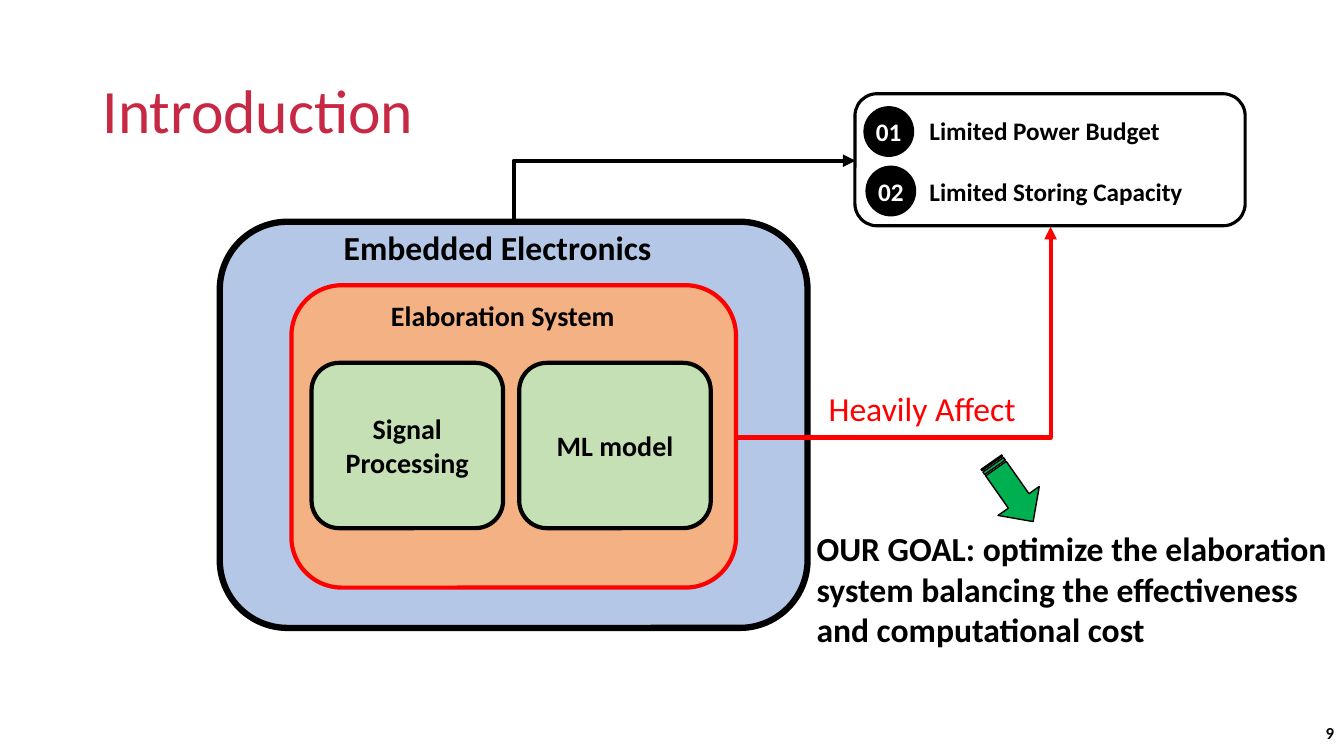
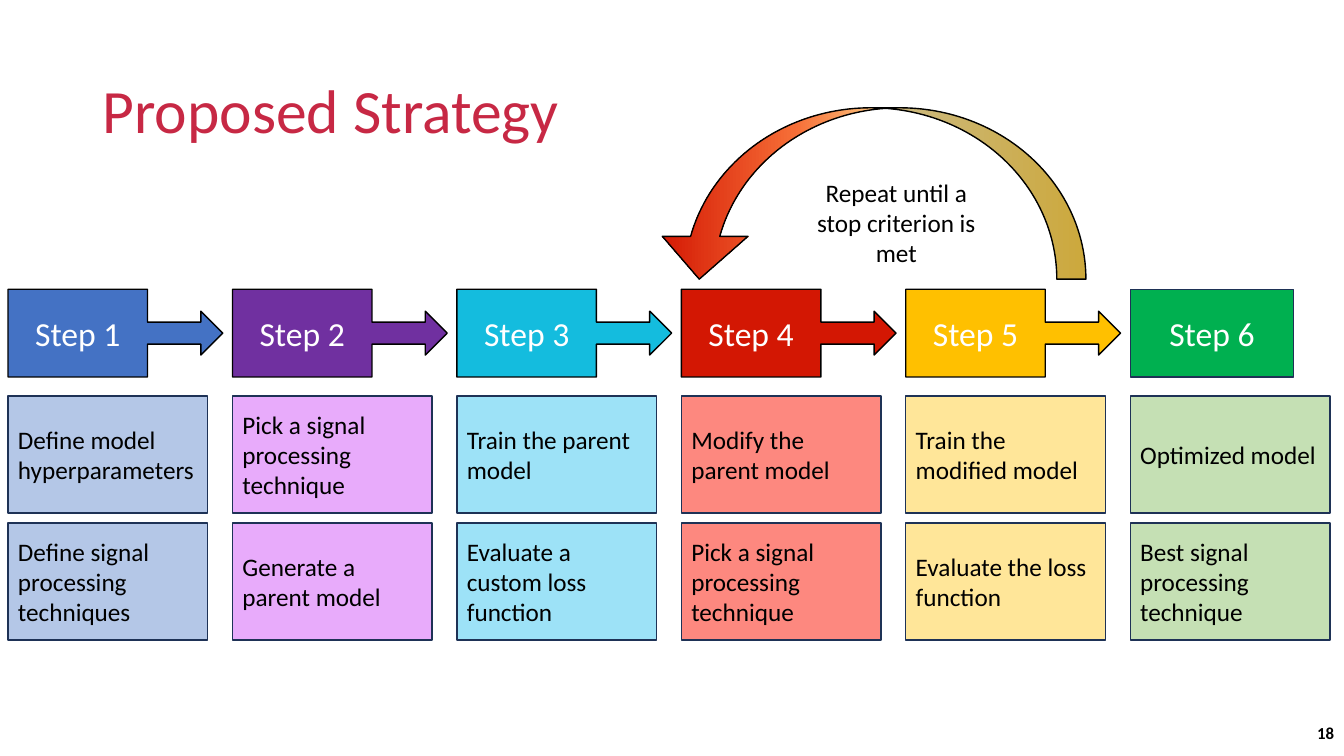
"""Build two slides: the design problem of an embedded system and a six-step strategy."""
from lxml import etree
from pptx import Presentation, util as u
from pptx.dml.color import RGBColor
from pptx.enum import shapes, text
from pptx.oxml import ns

FONT = "Calibri"
COLORS = {
    "title": "C72844", "black": "000000", "white": "FFFFFF", "red": "FF0000",
    "navy": "1E3256", "pale_blue": "B4C7E7", "orange": "F4B183",
    "pale_green": "C5E0B4", "green": "00B050", "blue": "4472C4",
    "purple": "7030A0", "lilac": "E8ABFB", "cyan": "14BCDE",
    "pale_cyan": "9DE2F7", "crimson": "D31703", "salmon": "FD887F",
    "gold": "FFC000", "pale_gold": "FFE699", "sand": "FFD34C", "coral": "F66D36",
}
STEPS = [
    ("blue", "pale_blue", "Define model hyperparameters", "Define signal processing techniques"),
    ("purple", "lilac", "Pick a signal processing technique", "Generate a parent model"),
    ("cyan", "pale_cyan", "Train the parent model", "Evaluate a custom loss function"),
    ("crimson", "salmon", "Modify the parent model", "Pick a signal processing technique"),
    ("gold", "pale_gold", "Train the modified model", "Evaluate the loss function"),
    ("green", "pale_green", "Optimized model", "Best signal processing technique"),
]
LOOP_STOPS = [(0, "sand"), (41, "pale_gold"), (68, "coral"), (100, "crimson")]
KIND = shapes.MSO_SHAPE
ALIGN = text.PP_ALIGN
ANCHOR = text.MSO_ANCHOR


def rgb(name):
    return RGBColor.from_string(COLORS[name])


def inches(values):
    return [u.Inches(value) for value in values]


def write(shape, lines, size, color="black", bold=False, align=ALIGN.LEFT,
          anchor=ANCHOR.MIDDLE, spacing=None, gap=0):
    frame = shape.text_frame
    frame.word_wrap = True
    frame.vertical_anchor = anchor
    for index, line in enumerate(lines):
        para = frame.add_paragraph() if index else frame.paragraphs[0]
        para.alignment = align
        para.line_spacing = spacing
        para.space_before = u.Pt(gap if index else 0)
        span = para.add_run()
        span.text = line
        span.font.name = FONT
        span.font.size = u.Pt(size)
        span.font.bold = bold
        span.font.color.rgb = rgb(color)
    return frame


def add_label(page, at, lines, size, anchor=ANCHOR.TOP, **style):
    box = page.shapes.add_textbox(*inches(at))
    write(box, lines, size, anchor=anchor, **style)


def add_block(page, kind, at, fill, line="black", width=1):
    block = page.shapes.add_shape(kind, *inches(at))
    block.shadow.inherit = False
    if fill:
        block.fill.solid()
        block.fill.fore_color.rgb = rgb(fill)
    else:
        block.fill.background()
    block.line.color.rgb = rgb(line)
    block.line.width = u.Pt(width)
    return block


def add_elbow(page, start, end, color, rotation=0):
    """Draw a one-bend arrow; start and end are the corners before rotation."""
    elbow = page.shapes.add_connector(shapes.MSO_CONNECTOR.ELBOW, *inches(start + end))
    elbow.line.color.rgb = rgb(color)
    elbow.line.width = u.Pt(3)
    properties = elbow._element.spPr
    properties.find(ns.qn("a:prstGeom")).set("prst", "bentConnector2")
    if rotation:
        properties.find(ns.qn("a:xfrm")).set("rot", str(rotation * 60000))
    outline = properties.find(ns.qn("a:ln"))
    etree.SubElement(outline, ns.qn("a:tailEnd"), type="triangle")
    etree.SubElement(properties, ns.qn("a:effectLst"))


def add_loop_arrow(page):
    arrow = add_block(page, KIND.CURVED_LEFT_ARROW, (7.79, -0.21, 1.7, 4.26), "sand")
    for index, value in enumerate((0.17, 0.5, 0.25)):
        arrow.adjustments[index] = value
    arrow.rotation = 270
    properties = arrow._element.spPr
    properties.find(ns.qn("a:xfrm")).set("flipV", "1")
    gradient = etree.Element(ns.qn("a:gradFill"), rotWithShape="1")
    stops = etree.SubElement(gradient, ns.qn("a:gsLst"))
    for position, color in LOOP_STOPS:
        stop = etree.SubElement(stops, ns.qn("a:gs"), pos=str(position * 1000))
        etree.SubElement(stop, ns.qn("a:srgbClr"), val=COLORS[color])
    etree.SubElement(gradient, ns.qn("a:lin"), ang="5400000", scaled="0")
    properties.replace(properties.find(ns.qn("a:solidFill")), gradient)


def add_page(deck, title, number):
    page = deck.slides.add_slide(deck.slide_layouts[6])
    add_label(page, (0.92, 0.4, 11.5, 1.45), [title], 44, anchor=ANCHOR.MIDDLE,
              color="title", spacing=0.9)
    add_label(page, (10.33, 7.07, 3, 0.4), [str(number)], 12, anchor=ANCHOR.MIDDLE,
              bold=True, align=ALIGN.RIGHT)
    return page


def add_limits(page):
    add_block(page, KIND.ROUNDED_RECTANGLE, (8.48, 0.93, 3.87, 1.31), None, width=2.25)
    add_label(page, (9.12, 1.09, 3.2, 1.01),
              ["Limited Power Budget", "Limited Storing Capacity"], 18, bold=True, gap=22)
    for number, left, top in (("01", 8.57, 1.06), ("02", 8.59, 1.65)):
        badge = add_block(page, KIND.OVAL, (left, top, 0.49, 0.49), "black")
        frame = write(badge, [number], 18, "white", True, ALIGN.CENTER)
        frame.margin_left = frame.margin_right = 0
        frame.margin_top = frame.margin_bottom = 0


def build_introduction(deck):
    page = add_page(deck, "Introduction", 9)
    add_block(page, KIND.ROUNDED_RECTANGLE, (2.18, 2.2, 5.83, 4.03), "pale_blue", width=4.5)
    add_label(page, (3.31, 2.2, 3.58, 0.5), ["Embedded Electronics"], 24, bold=True)
    add_limits(page)
    add_elbow(page, (7.09, 3.59), (6.49, 0.2), "black", rotation=90)
    add_block(page, KIND.ROUNDED_RECTANGLE, (2.89, 2.83, 4.41, 3), "orange", "red", 3)
    add_label(page, (3.78, 2.91, 3.03, 0.61), ["Elaboration System"], 20, bold=True)
    for left, lines in ((3.09, ["Signal", "Processing"]), (5.15, ["ML model"])):
        module = add_block(page, KIND.ROUNDED_RECTANGLE, (left, 3.6, 1.9, 1.64),
                           "pale_green", width=3)
        write(module, lines, 20, bold=True, align=ALIGN.CENTER)
    add_label(page, (8.12, 3.8, 2.2, 0.5), ["Heavily Affect"], 24, color="red")
    add_elbow(page, (7.3, 4.34), (10.42, 2.25), "red")
    arrow = add_block(page, KIND.STRIPED_RIGHT_ARROW, (9.68, 4.63, 0.72, 0.5), "green")
    arrow.rotation = 54.9
    goal = ("OUR GOAL: optimize the elaboration system balancing "
            "the effectiveness and computational cost")
    add_label(page, (8, 5.19, 5.31, 1.31), [goal], 24, bold=True)


def build_strategy(deck):
    page = add_page(deck, "Proposed Strategy", 18)
    first, last = 0.08, 11.21
    pitch = (last - first) / (len(STEPS) - 1)
    for index, (strong, pale, *tasks) in enumerate(STEPS):
        left = first + index * pitch
        if index < len(STEPS) - 1:
            kind, width, line = KIND.RIGHT_ARROW_CALLOUT, 2.13, "black"
        else:
            kind, width, line = KIND.RECTANGLE, 1.62, "navy"
        header = add_block(page, kind, (left, 2.87, width, 0.87), strong, line)
        write(header, [f"Step {index + 1}"], 24, "white", align=ALIGN.CENTER)
        for row, task in enumerate(tasks):
            card = add_block(page, KIND.RECTANGLE, (left, 3.93 + row * 1.26, 1.98, 1.16),
                             pale, "navy")
            write(card, [task], 18)
    add_loop_arrow(page)
    add_label(page, (7.97, 1.71, 1.84, 1.01), ["Repeat until a stop criterion is met"], 18,
              align=ALIGN.CENTER)


def main():
    deck = Presentation()
    deck.slide_width, deck.slide_height = inches((13.33, 7.5))
    build_introduction(deck)
    build_strategy(deck)
    deck.save("out.pptx")


if __name__ == "__main__":
    main()
